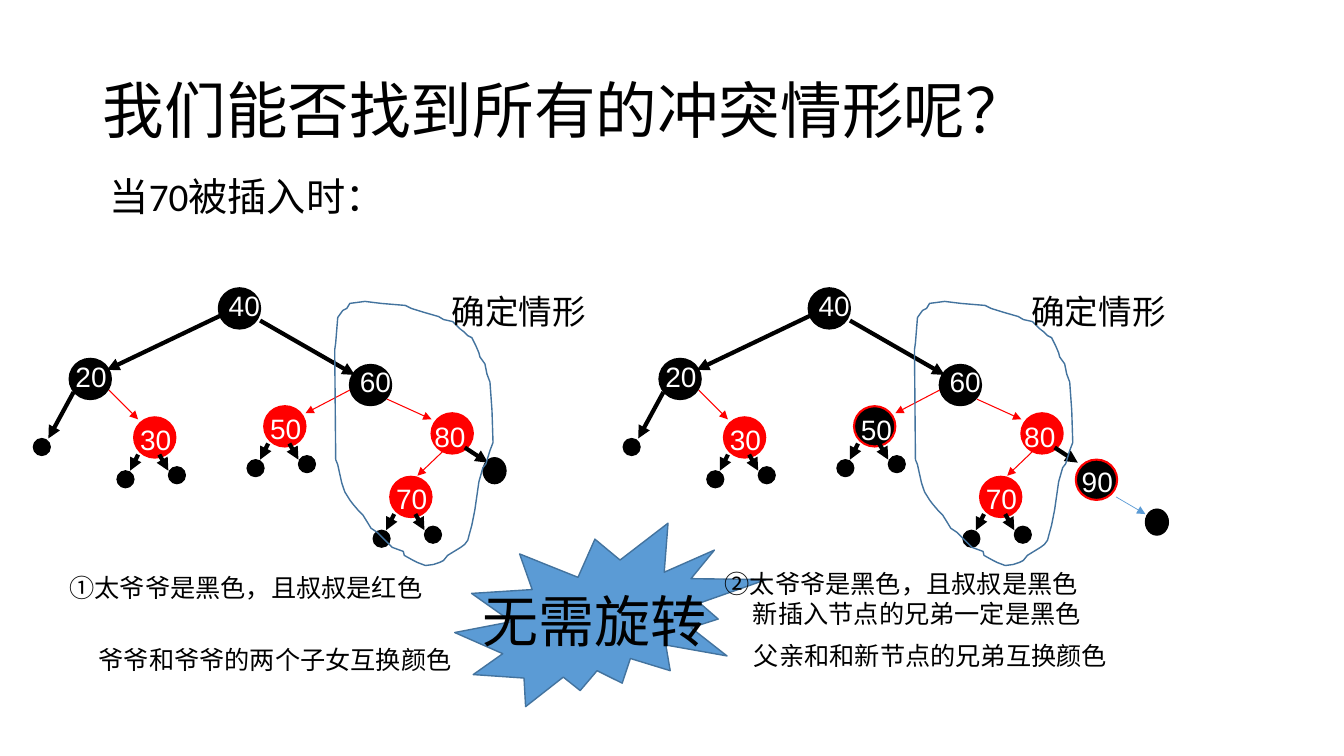
"""Build a slide comparing two red-black tree conflict cases after inserting 70."""
from pptx import Presentation
from pptx.dml.color import RGBColor
from pptx.enum.shapes import MSO_CONNECTOR, MSO_SHAPE
from pptx.enum.text import MSO_ANCHOR, PP_ALIGN
from pptx.oxml.ns import qn
from pptx.util import Inches, Pt
from lxml import etree

COLORS = {"black": "000000", "red": "FF0000", "white": "FFFFFF",
          "blue": "5B9BD5", "outline": "43739E"}

TITLE = "我们能否找到所有的冲突情形呢？"
NOTES = [
    (["当70被插入时："], 0.99, 1.66, 2.96, 0.57, 28),
    (["①太爷爷是黑色，且叔叔是红色"], 0.59, 5.63, 3.74, 0.4, 18),
    (["爷爷和爷爷的两个子女互换颜色"], 0.88, 6.34, 3.74, 0.4, 18),
    (["②太爷爷是黑色，且叔叔是黑色", "新插入节点的兄弟一定是黑色"], 7.09, 5.59, 3.77, 0.71, 18),
    (["父亲和和新节点的兄弟互换颜色"], 7.38, 6.3, 3.74, 0.4, 18),
    (["确定情形"], 4.38, 2.84, 1.55, 0.5, 24),
    (["确定情形"], 10.13, 2.84, 1.55, 0.5, 24),
    (["无需旋转"], 4.69, 5.77, 2.45, 0.77, 40),
]

# label: left, top, fill, line, label offset x, label offset y
SHARED_NODES = {
    "40": (2.17, 2.86, "black", "black", 0, -0.05),
    "20": (0.69, 3.56, "black", "black", -0.04, -0.04),
    "30": (1.33, 4.14, "red", "red", -0.04, 0),
    "60": (3.47, 3.62, "black", "black", 0, -0.05),
    "70": (3.87, 4.73, "red", "red", -0.04, 0),
    "80": (4.28, 4.1, "red", "red", -0.07, 0.01),
}
SHARED_EDGES = [
    (0.73, 3.89, 0.48, 4.35, "black", 3),
    (2.19, 3.13, 1.06, 3.67, "black", 3),
    (1.08, 3.87, 1.37, 4.16, "red", 0.75),
    (2.58, 3.18, 3.52, 3.72, "black", 3),
    (3.47, 3.87, 3.03, 4.1, "red", 0.75),
    (4.61, 4.44, 4.84, 4.59, "black", 3),
    (3.84, 3.96, 4.28, 4.16, "red", 0.75),
    (4.39, 4.48, 4.14, 4.72, "red", 0.75),
]
CASES = [
    {"shift": 0, "loop_shift": 0, "end": (4.79, 4.54), "edges": [],
     "nodes": {"50": (2.62, 4.03, "red", "red", -0.04, 0)}},
    {"shift": 5.85, "loop_shift": 5.75, "end": (5.51, 5.05),
     "edges": [(5.22, 4.93, 5.51, 5.1, "blue", 0.5)],
     "nodes": {"50": (2.62, 4.03, "black", "red", -0.03, 0.01),
               "90": (4.82, 4.56, "black", "red", -0.04, 0)}},
]
PARENTS_OF_LEAVES = ("30", "50", "70")
LEAVES = [(-0.17, 0.53), (0.34, 0.49)]
LEAF_EDGES = [(0.04, 0.37, -0.04, 0.53), (0.25, 0.37, 0.34, 0.53)]
NODE_SIZE, LEAF_SIZE, END_SIZE = (0.41, 0.4), (0.17, 0.17), (0.23, 0.26)

LOOP = [
    (3.35, 3.15), (3.33, 3.4), (3.32, 3.47), (3.33, 4.56), (3.35, 4.61), (3.39, 4.79),
    (3.42, 4.88), (3.47, 4.96), (3.5, 5), (3.56, 5.07), (3.6, 5.11), (3.65, 5.19),
    (3.68, 5.24), (3.74, 5.28), (3.82, 5.36), (3.89, 5.43), (4, 5.47), (4.01, 5.51),
    (4.1, 5.56), (4.14, 5.58), (4.22, 5.61), (4.3, 5.6), (4.36, 5.58), (4.4, 5.56),
    (4.44, 5.51), (4.57, 5.43), (4.61, 5.4), (4.64, 5.36), (4.65, 5.32), (4.68, 5.21),
    (4.71, 5.06), (4.75, 4.78), (4.79, 4.64), (4.82, 4.6), (4.86, 4.47), (4.89, 4.39),
    (4.88, 4.07), (4.86, 3.79), (4.83, 3.71), (4.81, 3.61), (4.76, 3.54), (4.75, 3.5),
    (4.72, 3.43), (4.68, 3.35), (4.64, 3.33), (4.6, 3.29), (4.56, 3.26), (4.49, 3.19),
    (4.4, 3.17), (4.35, 3.14), (4.21, 3.1), (4.08, 3.06), (4.02, 3.03), (3.78, 3.01),
    (3.62, 2.99), (3.47, 3.01), (3.44, 3.06), (3.4, 3.08),
]


def rgb(name):
    return RGBColor.from_string(COLORS[name])


def paint(shape, fill, line, width):
    shape.shadow.inherit = False
    if fill:
        shape.fill.solid()
        shape.fill.fore_color.rgb = rgb(fill)
    else:
        shape.fill.background()
    shape.line.color.rgb = rgb(line)
    shape.line.width = Pt(width)


def add_preset(slide, preset, left, top, size, fill, line, width):
    shape = slide.shapes.add_shape(preset, Inches(left), Inches(top), *map(Inches, size))
    paint(shape, fill, line, width)


def add_text(slide, lines, left, top, width, height, size,
             font="Calibri", color="black", wrap=False):
    box = slide.shapes.add_textbox(*map(Inches, (left, top, width, height)))
    box.text_frame.word_wrap = wrap
    box.text_frame.text = "\n".join(lines)
    for index, paragraph in enumerate(box.text_frame.paragraphs):
        if index:
            paragraph._p.get_or_add_pPr().set("marL", str(Inches(0.28)))
        for run in paragraph.runs:
            run.font.size, run.font.name = Pt(size), font
            run.font.color.rgb = rgb(color)


def add_arrow(slide, x1, y1, x2, y2, color, width):
    arrow = slide.shapes.add_connector(MSO_CONNECTOR.STRAIGHT, *map(Inches, (x1, y1, x2, y2)))
    arrow.line.color.rgb = rgb(color)
    arrow.line.width = Pt(width)
    properties = arrow._element.spPr
    etree.SubElement(properties.find(qn("a:ln")), qn("a:tailEnd"), type="triangle")
    etree.SubElement(properties, qn("a:effectLst"))


def add_tree(slide, case):
    shift = case["shift"]
    nodes = SHARED_NODES | case["nodes"]
    leaves = [(0.33, 4.35)]
    edges = SHARED_EDGES + case["edges"]
    for parent in PARENTS_OF_LEAVES:
        x, y = nodes[parent][:2]
        leaves += [(x + dx, y + dy) for dx, dy in LEAVES]
        edges = edges + [(x + x1, y + y1, x + x2, y + y2, "black", 3)
                         for x1, y1, x2, y2 in LEAF_EDGES]
    for label, (x, y, fill, line, dx, dy) in nodes.items():
        add_preset(slide, MSO_SHAPE.OVAL, x + shift, y, NODE_SIZE, fill, line, 1.5)
        add_text(slide, [label], x + dx + shift, y + dy, 0.59, 0.43, 20, "Arial", "white", True)
    for x, y in leaves:
        add_preset(slide, MSO_SHAPE.OVAL, x + shift, y, LEAF_SIZE, "black", "black", 0.75)
    end_x, end_y = case["end"]
    add_preset(slide, MSO_SHAPE.OVAL, end_x + shift, end_y, END_SIZE, "black", "black", 0.75)
    for x1, y1, x2, y2, color, width in edges:
        add_arrow(slide, x1 + shift, y1, x2 + shift, y2, color, width)


def add_loop(slide, shift):
    points = [(Inches(x + shift), Inches(y)) for x, y in LOOP]
    builder = slide.shapes.build_freeform(*points[0])
    builder.add_line_segments(points[1:], close=True)
    paint(builder.convert_to_shape(), None, "outline", 1)


def add_title(slide):
    title = slide.shapes.title
    title.left, title.top, title.width, title.height = map(Inches, (0.92, 0.4, 11.5, 1.45))
    title.text_frame.text = TITLE
    title.text_frame.vertical_anchor = MSO_ANCHOR.MIDDLE
    paragraph = title.text_frame.paragraphs[0]
    paragraph.alignment = PP_ALIGN.LEFT
    paragraph.line_spacing = 0.9
    font = paragraph.runs[0].font
    font.size, font.name = Pt(44), "Calibri"
    font.color.rgb = rgb("black")


def main():
    deck = Presentation()
    deck.slide_width, deck.slide_height = Inches(13.33), Inches(7.5)
    slide = deck.slides.add_slide(deck.slide_layouts[5])
    add_title(slide)
    add_preset(slide, MSO_SHAPE.EXPLOSION2, 4.51, 5.19, (3.09, 1.82), "blue", "outline", 1)
    for case in CASES:
        add_tree(slide, case)
        add_loop(slide, case["loop_shift"])
    for note in NOTES:
        add_text(slide, *note)
    deck.save("out.pptx")


if __name__ == "__main__":
    main()
